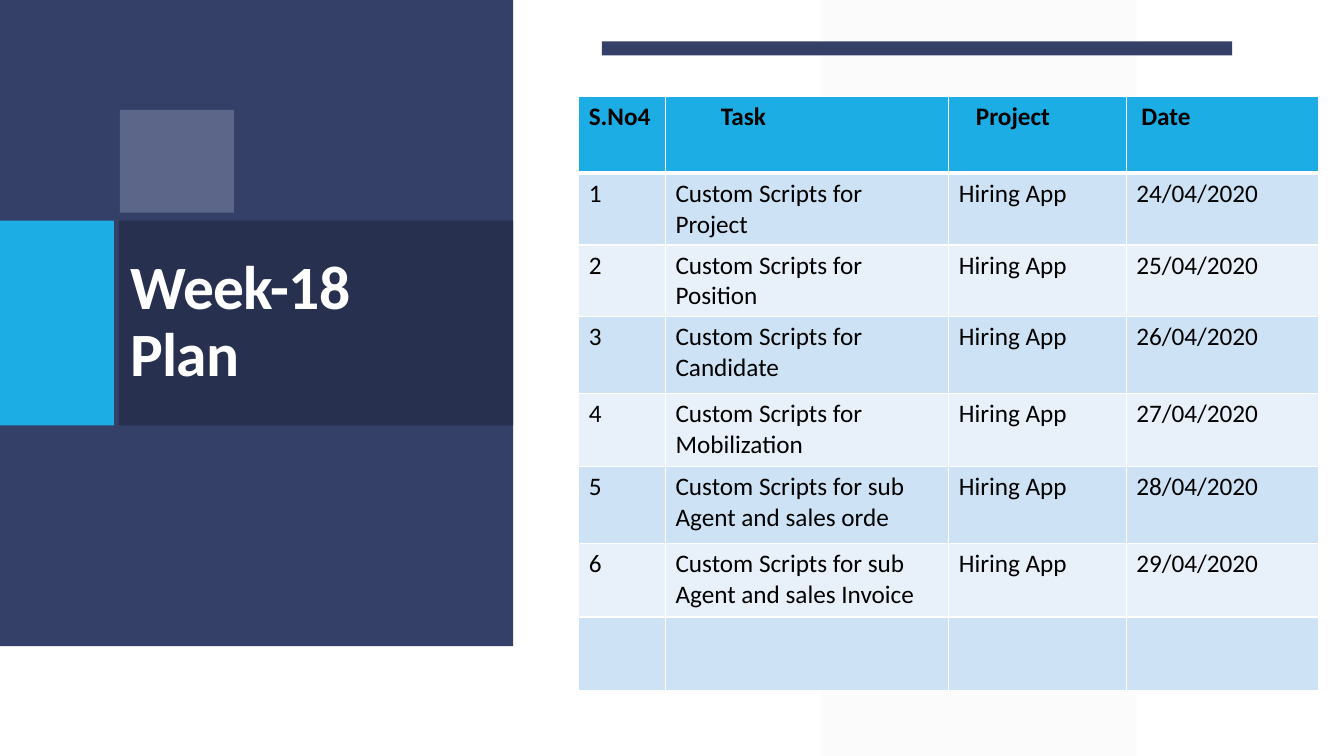
from lxml.etree import SubElement
from pptx import Presentation
from pptx.dml.color import RGBColor
from pptx.enum.shapes import MSO_SHAPE as Preset
from pptx.enum.text import MSO_ANCHOR, MSO_AUTO_SIZE, PP_ALIGN
from pptx.oxml.ns import qn
from pptx.util import Inches, Pt

FONT = "Calibri"
WHITE, BLACK = "FFFFFF", "000000"
NAVY, DARK_NAVY, SKY = "344068", "27304E", "1CADE4"
BANDS = ["CDE3F5", "E8F1FA"]

TITLE = "Week-18\vPlan"
TITLE_BOX = (1.19, 2.06, 3.62, 2.29)
PANELS = [
    (Preset.PARALLELOGRAM, (8.15, 0, 3.12, 7.5), "F2F2F2", 30),
    (Preset.RECTANGLE, (0, 0, 5.09, 6.41), NAVY, 100),
    (Preset.RECTANGLE, (0, 2.19, 1.13, 2.03), SKY, 100),
    (Preset.RECTANGLE, (5.97, 0.41, 6.25, 0.14), NAVY, 100),
    (Preset.RECTANGLE, (1.18, 2.19, 3.91, 2.03), DARK_NAVY, 100),
    (Preset.RECTANGLE, (1.19, 1.09, 1.13, 1.02), "D0D5E7", 26),
]

HEADINGS = ["S.No4", "Task", "Project", "Date"]
HEADING_INDENTS = [0.1, 0.55, 0.27, 0.15]
PROJECT = "Hiring App"
FIRST_DAY = 24
TASKS = [
    "Custom Scripts for Project",
    "Custom Scripts for Position",
    "Custom Scripts for Candidate",
    "Custom Scripts for\nMobilization",
    "Custom Scripts for sub Agent and sales orde",
    "Custom Scripts for sub Agent and sales Invoice",
]
PLAN = [HEADINGS]
PLAN += [[str(number), task, PROJECT, f"{FIRST_DAY + number - 1}/04/2020"]
         for number, task in enumerate(TASKS, 1)]
PLAN.append([""] * len(HEADINGS))
COLUMN_WIDTHS = [0.86, 2.81, 1.76, 1.91]
ROW_HEIGHTS = [0.76, 0.62, 0.7, 0.76, 0.73, 0.76, 0.73, 0.73]
PLAN_LEFT, PLAN_TOP = 5.74, 0.96


def color(value):
    return RGBColor.from_string(value)


def style(text_frame, size, bold, ink):
    for paragraph in text_frame.paragraphs:
        for run in paragraph.runs:
            run.font.name = FONT
            run.font.size = Pt(size)
            run.font.bold = bold
            run.font.color.rgb = color(ink)


def add_panel(slide, preset, box, fill, opacity):
    panel = slide.shapes.add_shape(preset, *map(Inches, box))
    if preset == Preset.PARALLELOGRAM:
        panel.adjustments[0] = 0
    panel.shadow.inherit = False
    panel.line.fill.background()
    panel.fill.solid()
    panel.fill.fore_color.rgb = color(fill)
    if opacity < 100:
        tint = panel.element.spPr.find(qn("a:solidFill"))[0]
        SubElement(tint, qn("a:alpha"), val=str(opacity * 1000))


def place_title(slide):
    title = slide.shapes.title
    title.left, title.top, title.width, title.height = map(Inches, TITLE_BOX)
    title.element.getparent().append(title.element)
    frame = title.text_frame
    frame.text = TITLE
    frame.word_wrap = True
    frame.auto_size = MSO_AUTO_SIZE.NONE
    frame.vertical_anchor = MSO_ANCHOR.MIDDLE
    frame.paragraphs[0].alignment = PP_ALIGN.LEFT
    frame.paragraphs[0].line_spacing = 0.9
    style(frame, 44, True, WHITE)
    for properties in title.element.iter(qn("a:rPr")):
        properties.set("spc", "-50")


def set_borders(cell, row):
    widths = {"L": 1, "R": 1, "T": 3 if row == 1 else 1, "B": 3 if row == 0 else 1}
    properties = cell._tc.get_or_add_tcPr()
    for side, width in widths.items():
        border = SubElement(properties, qn(f"a:ln{side}"), w=str(Pt(width)))
        SubElement(SubElement(border, qn("a:solidFill")), qn("a:srgbClr"), val=WHITE)


def add_plan(slide):
    plan = slide.shapes.add_table(
        len(PLAN), len(HEADINGS), Inches(PLAN_LEFT), Inches(PLAN_TOP),
        Inches(sum(COLUMN_WIDTHS)), Inches(sum(ROW_HEIGHTS))).table
    for column, width in zip(plan.columns, COLUMN_WIDTHS):
        column.width = Inches(width)
    for row, height in zip(plan.rows, ROW_HEIGHTS):
        row.height = Inches(height)
    for r, entries in enumerate(PLAN):
        for c, entry in enumerate(entries):
            cell = plan.cell(r, c)
            set_borders(cell, r)
            cell.fill.solid()
            cell.fill.fore_color.rgb = color(BANDS[(r - 1) % 2] if r else SKY)
            if r == 0:
                cell.margin_left = Inches(HEADING_INDENTS[c])
            if entry:
                cell.text_frame.text = entry
                style(cell.text_frame, 18, r == 0, BLACK)


def main():
    deck = Presentation()
    deck.slide_width, deck.slide_height = Inches(13.33), Inches(7.5)
    slide = deck.slides.add_slide(deck.slide_layouts.get_by_name("Title Only"))
    slide.background.fill.solid()
    slide.background.fill.fore_color.rgb = color(WHITE)
    for panel in PANELS:
        add_panel(slide, *panel)
    place_title(slide)
    add_plan(slide)
    deck.save("out.pptx")


if __name__ == "__main__":
    main()
